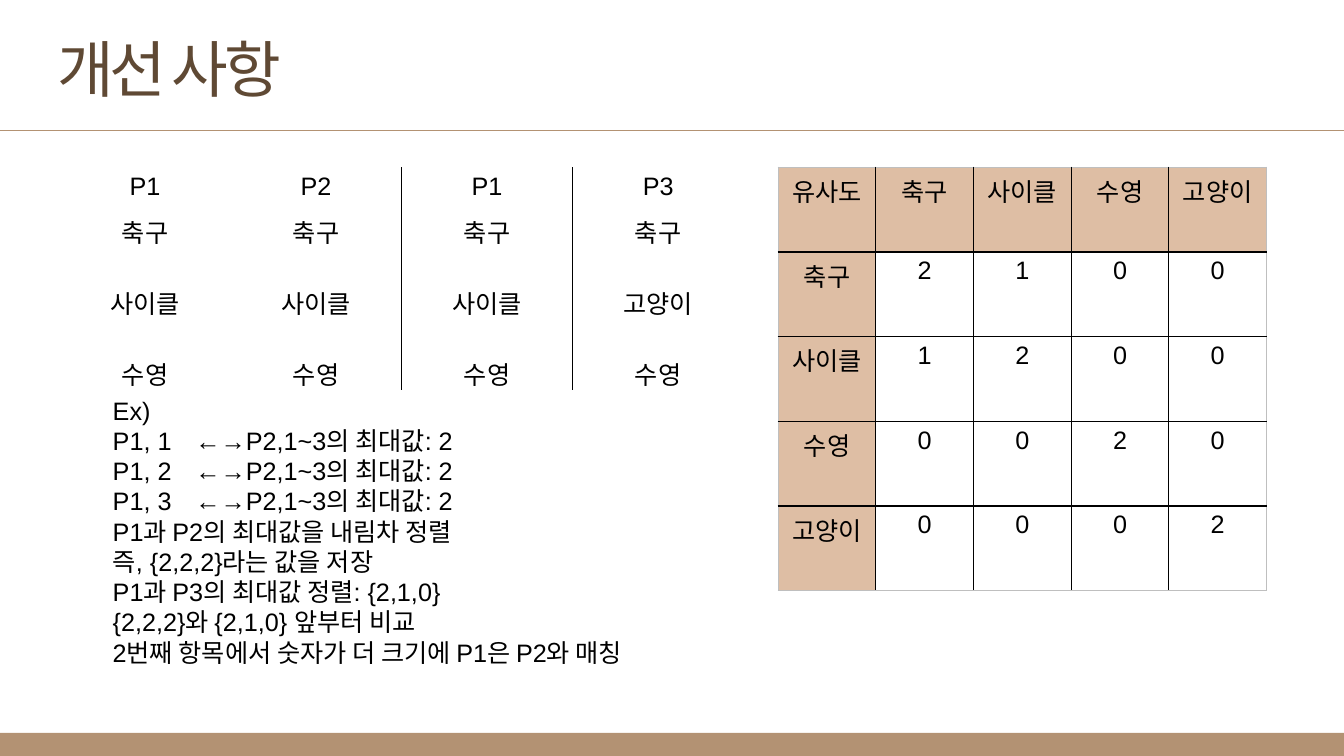
"""Build the improvements slide: preference lists, matching example and similarity matrix."""
from pptx import Presentation
from pptx.dml.color import RGBColor
from pptx.enum.shapes import MSO_CONNECTOR, MSO_SHAPE
from pptx.enum.text import MSO_AUTO_SIZE, PP_ALIGN
from pptx.oxml.ns import qn
from pptx.util import Inches, Pt
from lxml.etree import SubElement

THEME = {
    "font": "Arial", "title_size": 44, "body_size": 18,
    "title": "5F4934", "text": "000000", "band": "B39273",
    "header": "DEBEA4", "rule": "000000", "outline": "BFBFBF",
}
CELL = Inches(0.1)
COLUMNS, ROWS = 133.33, 75


def grid(*cells):
    """Turn grid columns and rows into slide lengths."""
    return [int(CELL * cell) for cell in cells]


def write(frame, text, size=THEME["body_size"], color=THEME["text"],
          align=PP_ALIGN.LEFT, spacing=0, tab=None):
    """Write one paragraph per line of text."""
    for index, line in enumerate(text.split("\n")):
        paragraph = frame.add_paragraph() if index else frame.paragraphs[0]
        paragraph.alignment = align
        if tab and "\t" in line:
            stops = SubElement(paragraph._p.get_or_add_pPr(), qn("a:tabLst"))
            SubElement(stops, qn("a:tab"), pos=str(tab), algn="l")
        run = paragraph.add_run()
        run.text = line
        run.font.name = THEME["font"]
        run.font.size = Pt(size)
        run.font.color.rgb = RGBColor.from_string(color)
        if spacing:
            run._r.get_or_add_rPr().set("spc", str(spacing * 100))


deck = Presentation()
deck.slide_width, deck.slide_height = grid(COLUMNS, ROWS)
slide = deck.slides.add_slide(deck.slide_layouts[6])

footer = slide.shapes.add_shape(MSO_SHAPE.RECTANGLE, *grid(0, 72.7, COLUMNS, 2.3))
footer.shadow.inherit = False
footer.fill.solid()
footer.fill.fore_color.rgb = RGBColor.from_string(THEME["band"])
footer.line.fill.background()

divider = slide.shapes.add_connector(MSO_CONNECTOR.STRAIGHT, *grid(0, 12.9, COLUMNS, 12.9))
divider.line.color.rgb = RGBColor.from_string(THEME["band"])
divider.line.width = Pt(0.5)
SubElement(divider._element.spPr, qn("a:effectLst"))

title = slide.shapes.add_textbox(*grid(4.7, 2.6, 26.3, 8.4)).text_frame
title.word_wrap = False
title.auto_size = MSO_AUTO_SIZE.SHAPE_TO_FIT_TEXT
write(title, "개선 사항", size=THEME["title_size"], color=THEME["title"], spacing=-3)

example = slide.shapes.add_textbox(*grid(10.2, 38.7, 56.9, 34.3)).text_frame
example.word_wrap = True
example.auto_size = MSO_AUTO_SIZE.SHAPE_TO_FIT_TEXT
matches = "\n".join(f"P1, {rank}\t←→P2,1~3의 최대값: 2" for rank in (1, 2, 3))
write(example, f"""Ex)
{matches}
P1과 P2의 최대값을 내림차 정렬
즉, {{2,2,2}}라는 값을 저장
P1과 P3의 최대값 정렬: {{2,1,0}}
{{2,2,2}}와 {{2,1,0}} 앞부터 비교
2번째 항목에서 숫자가 더 크기에 P1은 P2와 매칭""", tab=grid(8.2)[0])

preferences = [
    ["P1", "P2", "P1", "P3"],
    ["축구"] * 4,
    ["사이클", "사이클", "사이클", "고양이"],
    ["수영"] * 4,
]
similarity = [
    ["유사도", "축구", "사이클", "수영", "고양이"],
    ["축구", "2", "1", "0", "0"],
    ["사이클", "1", "2", "0", "0"],
    ["수영", "0", "0", "2", "0"],
    ["고양이", "0", "0", "0", "2"],
]
tables = [
    (preferences, 5.9, 16.97, [4.1, 7, 7, 4], False),
    (similarity, 77.2, 9.69, [8.4] * 5, True),
]
for values, left, column_width, row_heights, is_matrix in tables:
    row_count, column_count = len(values), len(values[0])
    table = slide.shapes.add_table(
        row_count, column_count,
        *grid(left, 16.6, column_width * column_count, sum(row_heights))).table
    table.first_row = table.horz_banding = False
    for column in table.columns:
        column.width = grid(column_width)[0]
    for r, row in enumerate(values):
        table.rows[r].height = grid(row_heights[r])[0]
        for c, value in enumerate(row):
            cell = table.cell(r, c)
            write(cell.text_frame, value, align=PP_ALIGN.CENTER)
            edges = {"lnL": c, "lnR": column_count - 1 - c,
                     "lnT": r, "lnB": row_count - 1 - r}
            ruled = {"lnL": c in (2, 3), "lnR": c in (1, 2)}
            for side, inner in edges.items():
                edge = SubElement(cell._tc.get_or_add_tcPr(), qn(f"a:{side}"), w=str(Pt(1)))
                if is_matrix or ruled.get(side):
                    paint = SubElement(edge, qn("a:solidFill"))
                    SubElement(paint, qn("a:srgbClr"), val=THEME["rule" if inner else "outline"])
                else:
                    SubElement(edge, qn("a:noFill"))
            if is_matrix and 0 in (r, c):
                cell.fill.solid()
                cell.fill.fore_color.rgb = RGBColor.from_string(THEME["header"])
            else:
                cell.fill.background()

deck.save("out.pptx")
